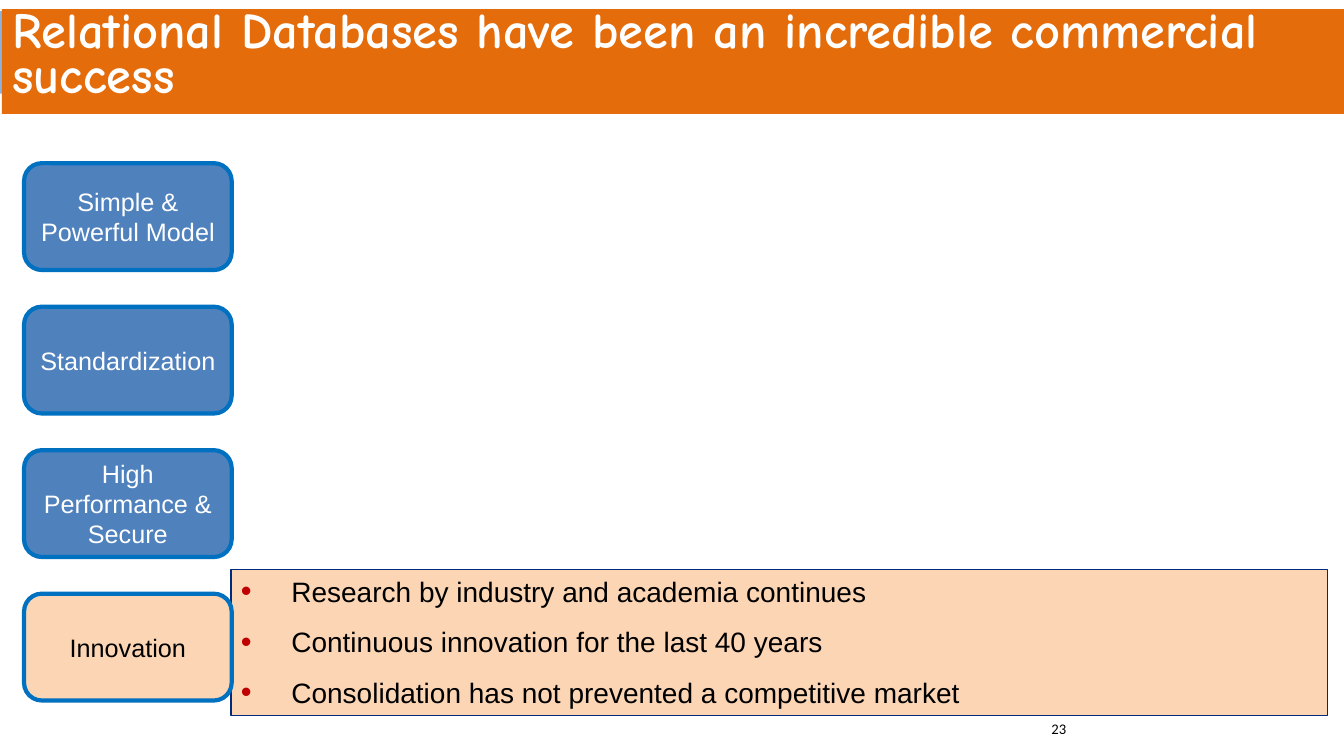
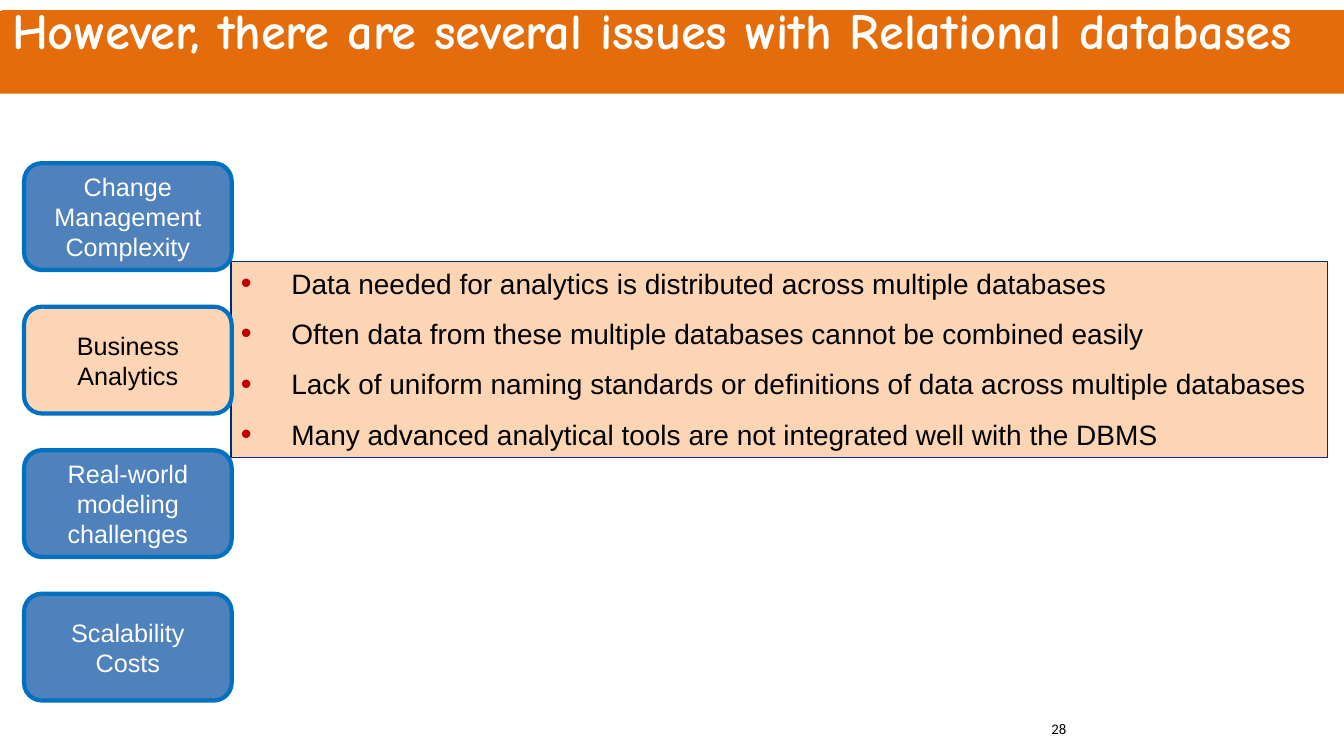
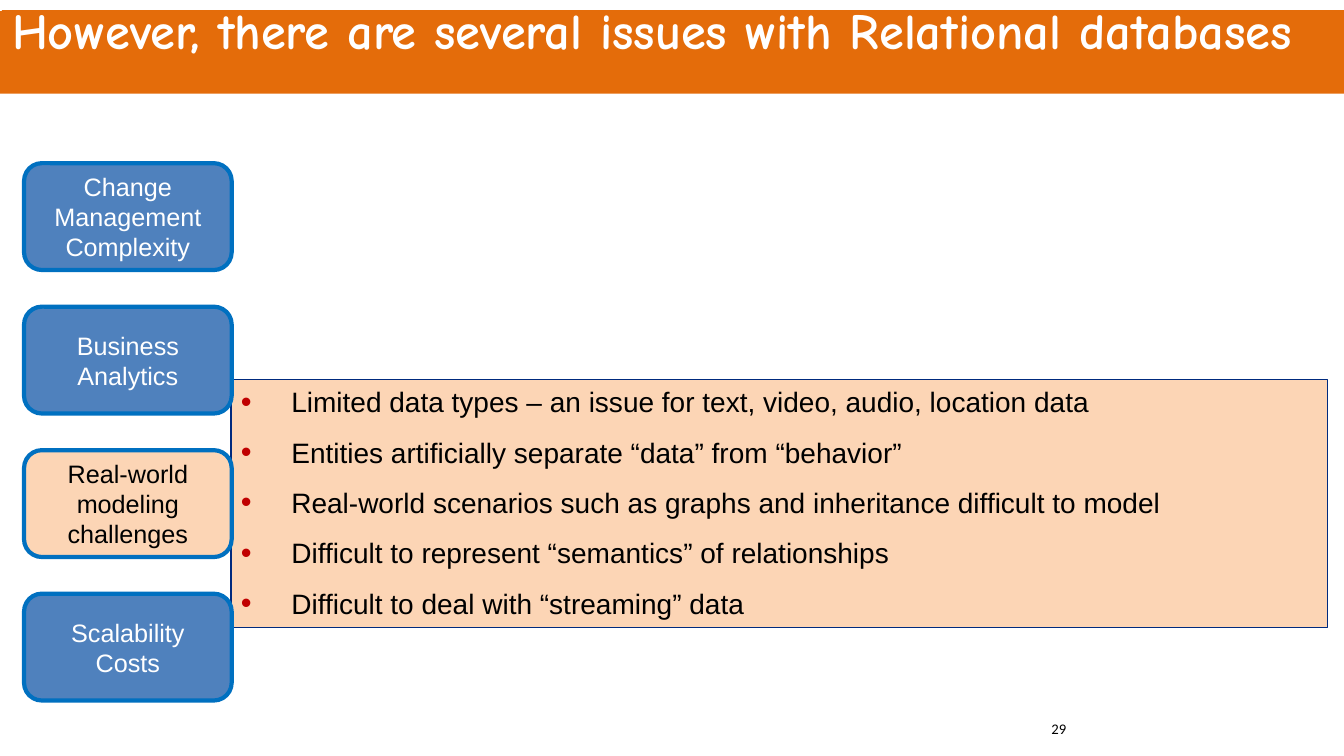
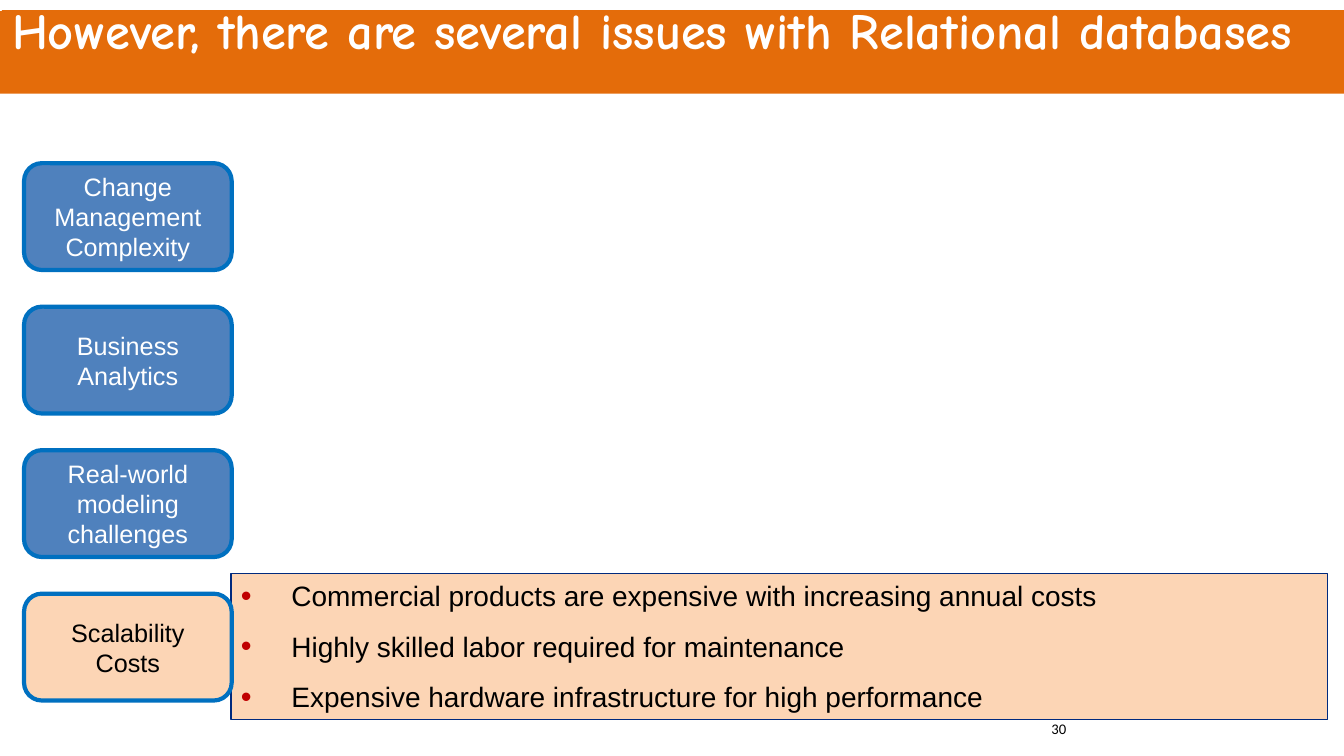
from lxml import etree
from pptx import Presentation
from pptx.dml.color import RGBColor
from pptx.enum.shapes import MSO_SHAPE
from pptx.enum.text import MSO_ANCHOR, MSO_AUTO_SIZE, PP_ALIGN
from pptx.oxml.ns import qn
from pptx.util import Pt

RECT, ROUNDED = MSO_SHAPE.RECTANGLE, MSO_SHAPE.ROUNDED_RECTANGLE
TOP, MIDDLE = MSO_ANCHOR.TOP, MSO_ANCHOR.MIDDLE
LEFT, CENTER = PP_ALIGN.LEFT, PP_ALIGN.CENTER
NO_FIT = MSO_AUTO_SIZE.NONE

WHITE = RGBColor(0xFF, 0xFF, 0xFF)
BLACK = RGBColor(0x00, 0x00, 0x00)
ORANGE = RGBColor(0xE4, 0x6C, 0x0A)
PEACH = RGBColor(0xFC, 0xD5, 0xB5)
BLUE = RGBColor(0x4F, 0x81, 0xBD)
LIGHT_BLUE = RGBColor(0x90, 0xB3, 0xDC)
EDGE_BLUE = RGBColor(0x00, 0x70, 0xC0)
NAVY = RGBColor(0x00, 0x2A, 0x7E)
RED = RGBColor(0xC0, 0x00, 0x00)

BODY_FONT, TITLE_FONT, NUMBER_FONT = "Arial", "Comic Neue", "Calibri"
SLIDE_W, SLIDE_H = 960, 540
TAB_TOP, TAB_STEP = 116.6, 102.5
BULLET_STEP = 36.2
INDENT = 36

SUCCESS_TITLE = "Relational Databases have been an incredible commercial success"
SUCCESS_TABS = ["Simple & Powerful Model", "Standardization",
                "High Performance & Secure", "Innovation"]
ISSUES_TITLE = "However, there are several issues with Relational databases"
ISSUES_TABS = ["Change Management Complexity", "Business Analytics",
               "Real-world modeling challenges", "Scalability Costs"]


def style(p, font, size, color, bold=False):
    for r in p.runs:
        r.font.name = font
        r.font.size = Pt(size)
        r.font.bold = bold
        r.font.color.rgb = color


def add_box(s, kind, left, top, width, height, fill, line=None, weight=0):
    sp = s.shapes.add_shape(kind, Pt(left), Pt(top), Pt(width), Pt(height))
    sp.shadow.inherit = False
    sp.fill.solid()
    sp.fill.fore_color.rgb = fill
    if line is None:
        sp.line.fill.background()
    else:
        sp.line.color.rgb = line
        sp.line.width = Pt(weight)
    return sp


def add_bullet(p):
    pPr = p._p.get_or_add_pPr()
    pPr.set("marL", str(Pt(INDENT)))
    pPr.set("indent", str(-Pt(INDENT)))
    color = etree.SubElement(pPr, qn("a:buClr"))
    etree.SubElement(color, qn("a:srgbClr"), val=str(RED))
    etree.SubElement(pPr, qn("a:buSzPct"), val="110000")
    etree.SubElement(pPr, qn("a:buFont"), typeface=BODY_FONT)
    etree.SubElement(pPr, qn("a:buChar"), char="•")


def add_title(s, text, top, height, band_color):
    title = s.shapes.title
    band = add_box(s, RECT, 0, 7.9, SLIDE_W, 59, band_color)
    title.element.addprevious(band.element)
    title.left, title.top = Pt(1.4), Pt(top)
    title.width, title.height = Pt(SLIDE_W), Pt(height)
    title.fill.solid()
    title.fill.fore_color.rgb = ORANGE
    tf = title.text_frame
    tf.text = text
    tf.word_wrap = True
    tf.auto_size = NO_FIT
    tf.vertical_anchor = TOP
    p = tf.paragraphs[0]
    p.alignment = LEFT
    p.line_spacing = Pt(32)
    style(p, TITLE_FONT, 36, WHITE, bold=True)


def add_panel(s, top, bullets):
    height = BULLET_STEP * len(bullets) - 4.2
    sp = add_box(s, RECT, 165, top, 783.4, height, PEACH, NAVY, 0.75)
    tf = sp.text_frame
    tf.word_wrap = True
    tf.vertical_anchor = TOP
    tf.text = "\n".join(bullets)
    for p in tf.paragraphs:
        add_bullet(p)
        p.alignment = LEFT
        p.space_after = Pt(12)
        style(p, BODY_FONT, 20, BLACK)


def add_tabs(s, labels, active):
    for i, label in enumerate(labels):
        fill, color = (PEACH, BLACK) if i == active else (BLUE, WHITE)
        sp = add_box(s, ROUNDED, 17.2, TAB_TOP + i * TAB_STEP, 148.3, 76.3,
                     fill, EDGE_BLUE, 3)
        tf = sp.text_frame
        tf.word_wrap = True
        tf.vertical_anchor = MIDDLE
        tf.text = label
        p = tf.paragraphs[0]
        p.alignment = CENTER
        style(p, BODY_FONT, 18, color)


def add_number(s, number, font):
    sp = s.shapes.add_textbox(Pt(744), Pt(510.5), Pt(216), Pt(28.8))
    tf = sp.text_frame
    tf.word_wrap = True
    tf.text = str(number)
    style(tf.paragraphs[0], font, 10.5, BLACK)


def add_topic(prs, tabs, active, panel_top, bullets, number, title=ISSUES_TITLE,
              title_top=7.2, title_height=42.5, band_color=ORANGE):
    s = prs.slides.add_slide(prs.slide_layouts[5])
    add_title(s, title, title_top, title_height, band_color)
    add_panel(s, panel_top, bullets)
    add_tabs(s, tabs, active)
    add_number(s, number, NUMBER_FONT)


def main():
    prs = Presentation()
    prs.slide_width, prs.slide_height = Pt(SLIDE_W), Pt(SLIDE_H)
    add_topic(prs, SUCCESS_TABS, 3, 406.8, [
        "Research by industry and academia continues",
        "Continuous innovation for the last 40 years",
        "Consolidation has not prevented a competitive market",
    ], 23, SUCCESS_TITLE, 6.5, 74.9, LIGHT_BLUE)
    add_topic(prs, ISSUES_TABS, 1, 186.5, [
        "Data needed for analytics is distributed across multiple databases",
        "Often data from these multiple databases cannot be combined easily",
        "Lack of uniform naming standards or definitions of data across multiple databases",
        "Many advanced analytical tools are not integrated well with the DBMS",
    ], 28)
    add_topic(prs, ISSUES_TABS, 2, 271.2, [
        "Limited data types – an issue for text, video, audio, location data",
        "Entities artificially separate “data” from “behavior”",
        "Real-world scenarios such as graphs and inheritance difficult to model",
        "Difficult to represent “semantics” of relationships",
        "Difficult to deal with “streaming” data",
    ], 29)
    add_topic(prs, ISSUES_TABS, 3, 409.9, [
        "Commercial products are expensive with increasing annual costs",
        "Highly skilled labor required for maintenance",
        "Expensive hardware infrastructure for high performance",
    ], 30)
    prs.save("out.pptx")


if __name__ == "__main__":
    main()
